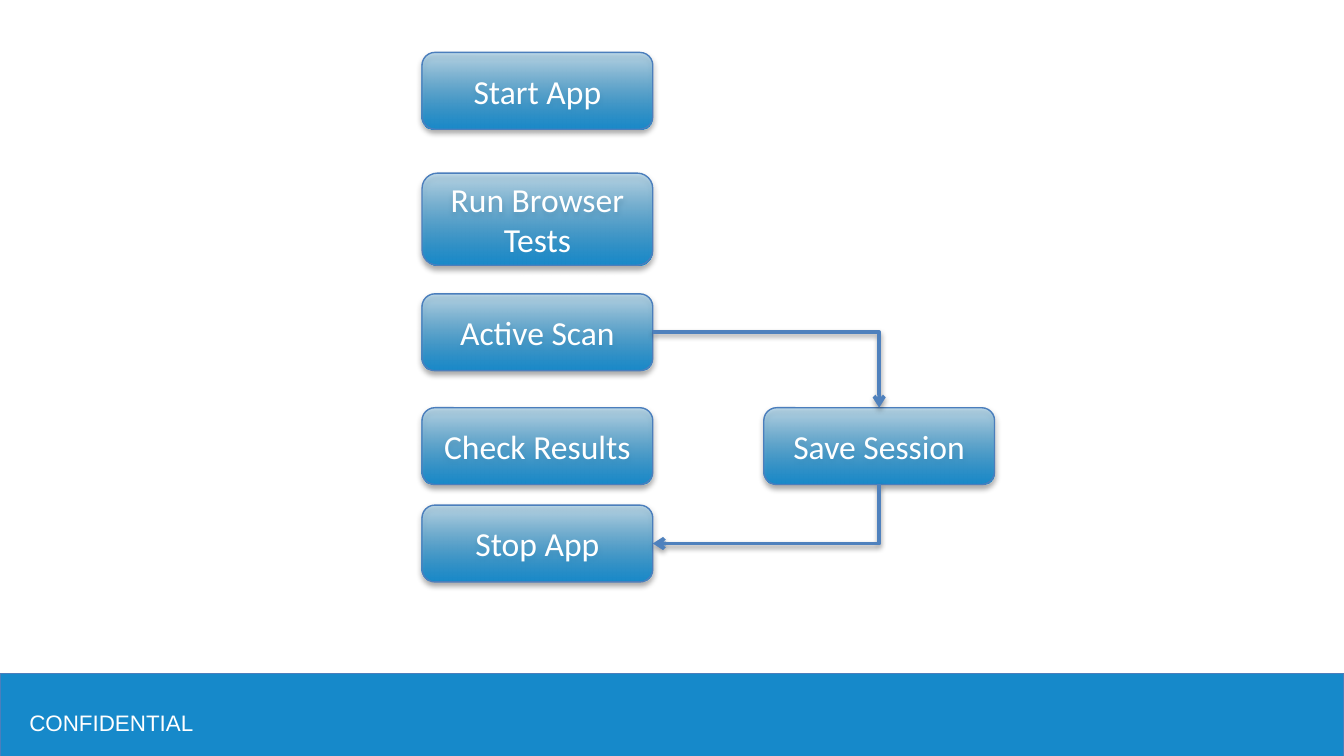
from lxml import etree
from pptx import Presentation
from pptx.dml.color import RGBColor
from pptx.enum.shapes import MSO_CONNECTOR, MSO_SHAPE
from pptx.enum.text import MSO_ANCHOR, PP_ALIGN
from pptx.oxml.ns import qn
from pptx.util import Inches, Pt

ELBOW = MSO_CONNECTOR.ELBOW
RECTANGLE, ROUNDED = MSO_SHAPE.RECTANGLE, MSO_SHAPE.ROUNDED_RECTANGLE
MIDDLE = MSO_ANCHOR.MIDDLE
LEFT, CENTER = PP_ALIGN.LEFT, PP_ALIGN.CENTER
TOP_SITE, BOTTOM_SITE, RIGHT_SITE = 0, 2, 3
SLIDE_W = 10
SLIDE_H = SLIDE_W * 9 / 16
BRAND, OUTLINE, ARROW, WHITE, BLACK = "1689CA", "4B7EBC", "4F81BD", "FFFFFF", "000000"


def color(value):
    return RGBColor.from_string(value)


def inches(*lengths):
    return [Inches(length) for length in lengths]


def write(shape, text, size=18, font="Calibri", ink=WHITE, align=CENTER):
    frame = shape.text_frame
    frame.word_wrap = True
    frame.vertical_anchor = MIDDLE
    paragraph = frame.paragraphs[0]
    paragraph.alignment = align
    run = paragraph.add_run()
    run.text = text
    run.font.size = Pt(size)
    run.font.name = font
    run.font.color.rgb = color(ink)


def outline(shape, ink, width):
    shape.line.color.rgb = color(ink)
    shape.line.width = Pt(width)


def add_shadow(shape, opacity, distance):
    effects = etree.SubElement(shape._element.spPr, qn("a:effectLst"))
    shadow = etree.SubElement(
        effects, qn("a:outerShdw"), blurRad=str(Pt(3.1)), dist=str(Pt(distance)),
        dir="5400000", rotWithShape="0")
    tone = etree.SubElement(shadow, qn("a:srgbClr"), val=BLACK)
    etree.SubElement(tone, qn("a:alpha"), val=str(opacity * 1000))


def add_step(slide, text, left, top, width, height):
    step = slide.shapes.add_shape(ROUNDED, *inches(left, top, width, height))
    step.fill.gradient()
    step.fill.gradient_angle = 90
    for stop in step.fill.gradient_stops:
        stop.color.rgb = color(BRAND)
    faded = step._element.spPr.findall(".//" + qn("a:srgbClr"))[-1]
    etree.SubElement(faded, qn("a:alpha"), val="24000")
    outline(step, OUTLINE, 0.75)
    add_shadow(step, 35, 1.8)
    write(step, text)
    return step


def add_arrow(slide, source, source_site, target, target_site):
    arrow = slide.shapes.add_connector(ELBOW, 0, 0, 0, 0)
    arrow.begin_connect(source, source_site)
    arrow.end_connect(target, target_site)
    properties = arrow._element.spPr
    properties.find(qn("a:prstGeom")).set("prst", "bentConnector2")
    outline(arrow, ARROW, 2)
    etree.SubElement(properties.find(qn("a:ln")), qn("a:tailEnd"), type="arrow")
    add_shadow(arrow, 38, 1.6)
    return arrow


def turn_quarter(arrow):
    left, top, width, height = arrow.left, arrow.top, arrow.width, arrow.height
    arrow.left = left + (width - height) // 2
    arrow.top = top + (height - width) // 2
    arrow.width, arrow.height = height, width
    frame = arrow._element.spPr.find(qn("a:xfrm"))
    frame.attrib.pop("flipH", None)
    frame.set("rot", "5400000")


def add_process(slide, left, top, width, height):
    step_w, step_h = 0.403 * width, 0.145 * height
    main_steps = [
        ("Run Browser Tests", 0.228, 0.174 * height),
        ("Start App", 0, step_h),
        ("Active Scan", 0.456, step_h),
        ("Check Results", 0.671, step_h),
        ("Stop App", 0.855, step_h),
    ]
    steps = {
        text: add_step(slide, text, left, top + share * height, step_w, tall)
        for text, share, tall in main_steps
    }
    save = add_step(slide, "Save Session", left + width - step_w,
                    top + 0.671 * height, step_w, step_h)
    add_arrow(slide, steps["Active Scan"], RIGHT_SITE, save, TOP_SITE)
    turn_quarter(add_arrow(slide, save, BOTTOM_SITE, steps["Stop App"], RIGHT_SITE))


def add_footer(slide, left, top, width, height):
    band = slide.shapes.add_shape(RECTANGLE, *inches(left, top, width, height))
    band.shadow.inherit = False
    band.fill.solid()
    band.fill.fore_color.rgb = color(BRAND)
    outline(band, OUTLINE, 0.75)
    notice = slide.shapes.add_textbox(*inches(
        left + 0.012 * width, top + 0.36 * height, 0.85 * width, 0.32 * height))
    write(notice, "CONFIDENTIAL", size=12, font="Arial", align=LEFT)


deck = Presentation()
deck.slide_width, deck.slide_height = inches(SLIDE_W, SLIDE_H)
slide = deck.slides.add_slide(deck.slide_layouts[6])
add_footer(slide, 0, 5.01, SLIDE_W, 0.71)
add_process(slide, 3.14, 0.39, 4.26, 3.94)
deck.save("out.pptx")
